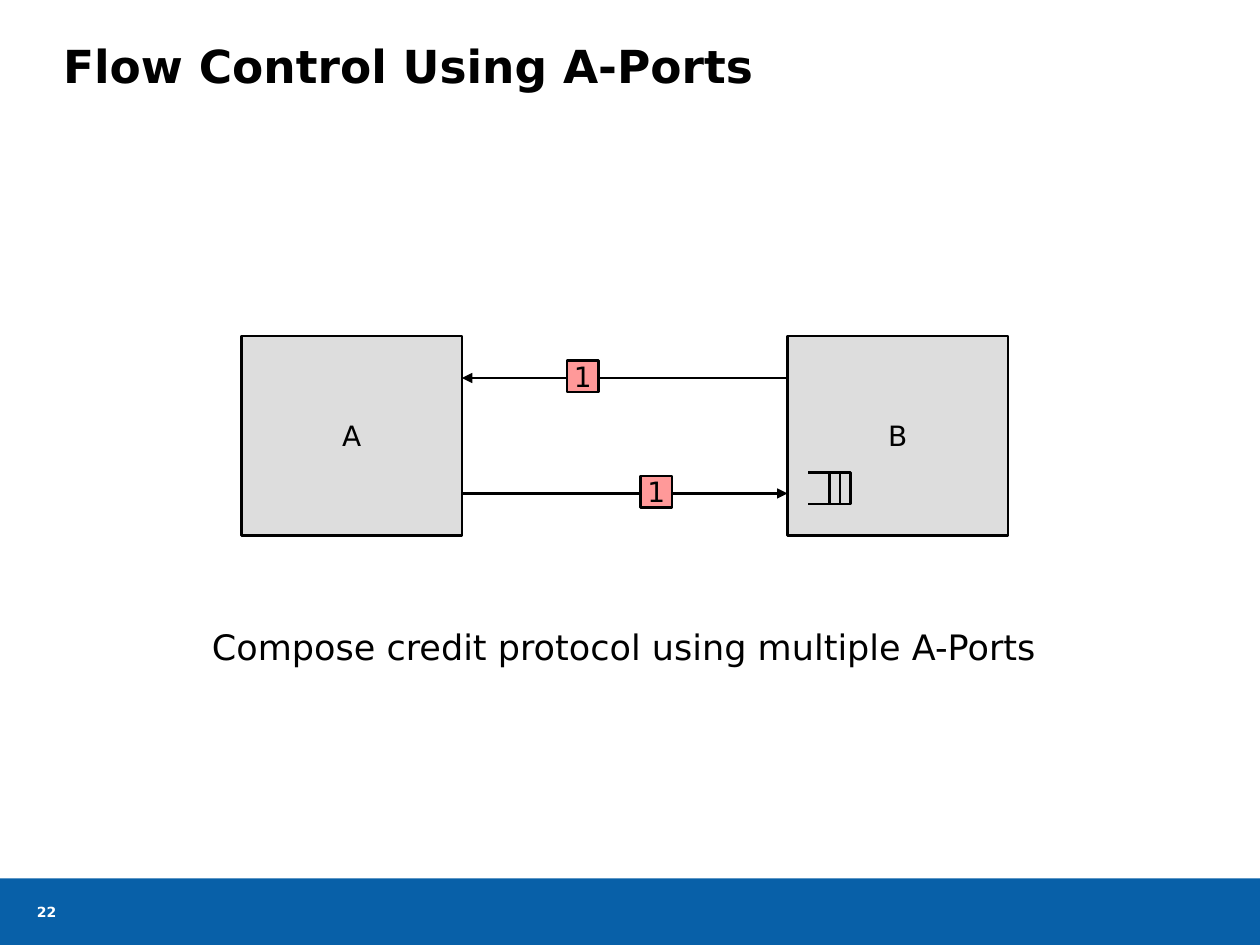
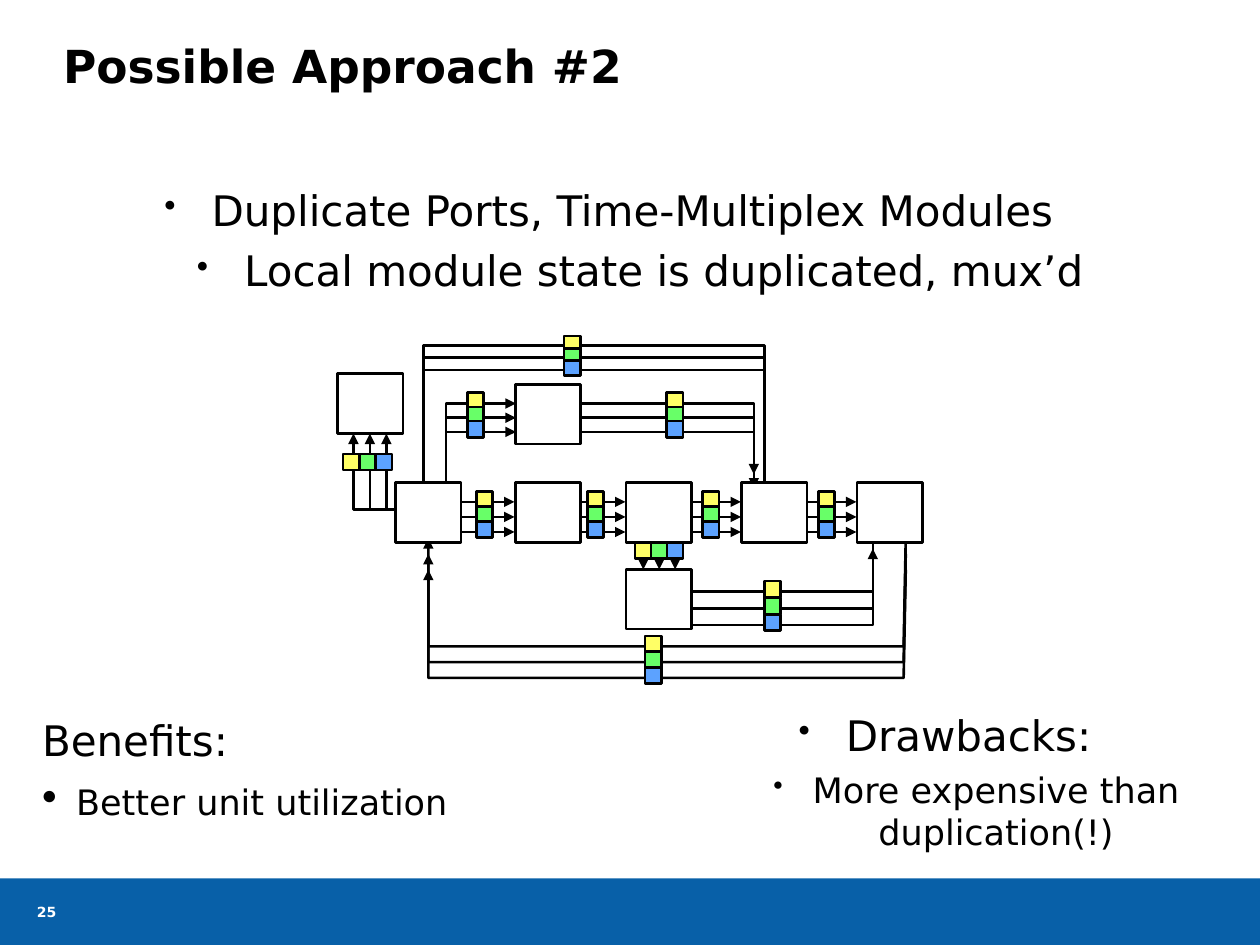
import pptx
import pptx.dml.color
import pptx.enum.shapes
import pptx.enum.text
import pptx.oxml
import pptx.oxml.ns
import pptx.util

Pt = pptx.util.Pt
RGBColor = pptx.dml.color.RGBColor
ALIGN = pptx.enum.text.PP_ALIGN
ANCHOR = pptx.enum.text.MSO_ANCHOR
RECTANGLE = pptx.enum.shapes.MSO_SHAPE.RECTANGLE
STRAIGHT = pptx.enum.shapes.MSO_CONNECTOR.STRAIGHT

BLACK = RGBColor(0x00, 0x00, 0x00)
WHITE = RGBColor(0xFF, 0xFF, 0xFF)
BAND_BLUE = RGBColor(0x08, 0x60, 0xA8)
MODULE_GRAY = RGBColor(0xDD, 0xDD, 0xDD)
CREDIT_PINK = RGBColor(0xFF, 0x99, 0x99)
LANE_COLORS = (RGBColor(0xFF, 0xFF, 0x66), RGBColor(0x68, 0xFF, 0x68),
               RGBColor(0x5C, 0xA2, 0xFF))

TITLE = {"size": Pt(26), "bold": True}
PAGE_NUMBER = {"size": Pt(8), "bold": True}
LARGE = {"size": Pt(24)}
MEDIUM = {"size": Pt(20)}
LABEL = {"size": Pt(16)}
LINE_WIDTH = Pt(1.5)
MODULE_WIDTH, MODULE_HEIGHT = 37.4, 34.1
TOKEN_SIZE = 9.3


def set_attributes(target, values):
    for name, value in values.items():
        setattr(target, name, value)


def add_sub_element(parent, tag, **attributes):
    element = pptx.oxml.parse_xml(f"<a:{tag} {pptx.oxml.ns.nsdecls('a')}/>")
    for name, value in attributes.items():
        element.set(name, str(value))
    parent.append(element)


def write(paragraph, text, style, color=BLACK):
    run = paragraph.add_run()
    run.text = text
    set_attributes(run.font, {"name": "DejaVu Sans", **style})
    run.font.color.rgb = color


def add_text_box(slide, left, top, width, height, inset=True, anchor=ANCHOR.TOP):
    """Add an empty wrapping text box and return its text frame."""
    box = slide.shapes.add_textbox(Pt(left), Pt(top), Pt(width), Pt(height))
    frame = box.text_frame
    set_attributes(frame, {"word_wrap": True, "vertical_anchor": anchor})
    if not inset:
        sides = ("left", "top", "right", "bottom")
        set_attributes(frame, {f"margin_{side}": 0 for side in sides})
    return frame


def add_list(frame, items, align):
    """Fill a frame with (text, style, space before, margin, hang, bullet percent)."""
    for index, (text, style, space, margin, hang, bullet) in enumerate(items):
        paragraph = frame.add_paragraph() if index else frame.paragraphs[0]
        set_attributes(paragraph, {"alignment": align, "space_before": Pt(space)})
        if bullet:
            properties = paragraph._p.get_or_add_pPr()
            properties.set("marL", str(Pt(margin)))
            properties.set("indent", str(Pt(-hang)))
            add_sub_element(properties, "buSzPct", val=bullet * 1000)
            add_sub_element(properties, "buChar", char="•")
        write(paragraph, text, style)


def add_box(slide, left, top, width, height, fill=None, label="", outlined=True):
    box = slide.shapes.add_shape(RECTANGLE, Pt(left), Pt(top), Pt(width), Pt(height))
    box.shadow.inherit = False
    if fill is None:
        box.fill.background()
    else:
        box.fill.solid()
        box.fill.fore_color.rgb = fill
    if outlined:
        box.line.color.rgb = BLACK
        box.line.width = LINE_WIDTH
    else:
        box.line.fill.background()
    if label:
        frame = box.text_frame
        set_attributes(frame, {"word_wrap": False, "vertical_anchor": ANCHOR.MIDDLE})
        frame.paragraphs[0].alignment = ALIGN.CENTER
        write(frame.paragraphs[0], label, LABEL)


def add_route(slide, points, arrow=True):
    """Draw a line through the points: a connector, or a freeform if it bends."""
    points = [(Pt(x), Pt(y)) for x, y in points]
    if len(points) == 2:
        route = slide.shapes.add_connector(STRAIGHT, *points[0], *points[1])
        add_sub_element(route._element.spPr, "effectLst")
    else:
        builder = slide.shapes.build_freeform(*points[0])
        builder.add_line_segments(points[1:], close=False)
        route = builder.convert_to_shape()
        route.shadow.inherit = False
        route.fill.background()
    route.line.color.rgb = BLACK
    route.line.width = LINE_WIDTH
    if arrow:
        add_sub_element(route.line._get_or_add_ln(), "tailEnd", type="triangle")


def add_bus(slide, points, step, token, token_height=TOKEN_SIZE):
    """Draw three parallel lanes, each shifted by step and holding a token."""
    step_x, step_y = step
    for lane, color in enumerate(LANE_COLORS):
        shift_x, shift_y = lane * step_x, lane * step_y
        add_route(slide, [(x + shift_x, y + shift_y) for x, y in points])
        add_box(slide, token[0] + shift_x, token[1] + shift_y,
                TOKEN_SIZE, token_height, color)


def add_base_slide(presentation, title, number):
    slide = presentation.slides.add_slide(presentation.slide_layouts[6])
    add_box(slide, 0, 502, 720, 38, BAND_BLUE, outlined=False)
    frame = add_text_box(slide, 36, 21.6, 648.7, 69.8, inset=False)
    write(frame.paragraphs[0], title, TITLE)
    frame = add_text_box(slide, 21, 509, 32.4, 23.8, inset=False, anchor=ANCHOR.MIDDLE)
    write(frame.paragraphs[0], number, PAGE_NUMBER, WHITE)
    return slide


def add_queue(slide, left, top):
    """Draw a queue that is open to the left, with two filled slots."""
    slot, height = 6, 18
    for index in range(2):
        add_box(slide, left + 12 + index * slot, top, slot, height)
    for y in (top, top + height):
        add_route(slide, [(left + 12, y), (left, y)], arrow=False)


def build_flow_control(presentation):
    slide = add_base_slide(presentation, "Flow Control Using A-Ports", "22")
    width, left_a, left_b = 126, 138, 450
    for label, left in (("A", left_a), ("B", left_b)):
        add_box(slide, left, 192, width, 114, MODULE_GRAY, label)
    add_queue(slide, 462, 270)
    for start, end, y, credit_left in ((left_a + width, left_b, 282, 366),
                                       (left_b, left_a + width, 216, 324)):
        add_route(slide, [(start, y), (end, y)])
        add_box(slide, credit_left, y - 10, 18, 18, CREDIT_PINK, "1")
    frame = add_text_box(slide, 114, 354, 510, 31.7)
    write(frame.paragraphs[0], "Compose credit protocol using multiple A-Ports", MEDIUM)


def add_pipeline(slide):
    stage_lefts = (226, 294.4, 357.8, 423.8, 489.8)
    stage_top = 275.8

    # Top bypass, then the branch above the pipeline
    add_bus(slide, [(437, 287), (437, 197.4), (242, 197.4), (242, 287)],
            (0, 7), (322.4, 192), token_height=8.6)
    add_bus(slide, [(254.8, 271), (254.8, 230.6), (294.8, 230.6)], (0, 8.1), (267, 224.4))
    add_bus(slide, [(322.4, 230.6), (430.8, 230.6), (430.8, 271)], (0, 8.1), (381, 224.4))
    # Side module at the left
    add_bus(slide, [(221, 291), (202, 291), (202, 247.8)], (9.4, 0), (196, 259.4))
    # Stage to stage
    for left, next_left in zip(stage_lefts, stage_lefts[1:]):
        add_bus(slide, [(left + 34, 286.8), (next_left - 0.4, 286.8)],
                (0, 8.6), (next_left - 22.2, 280.8))
    # Module below the pipeline
    add_bus(slide, [(367.6, 309.8), (367.6, 325.4)], (9.1, 0), (362.9, 309.8))
    add_bus(slide, [(393, 338), (498.8, 338), (498.8, 294.4)], (0, 9.6), (436.9, 332))
    # Feedback from the last stage to the first
    add_bus(slide, [(517.6, 307.6), (516.4, 369.4), (244.8, 369.4), (244.8, 307.6)],
            (0, 9), (368.6, 363.4))

    modules = [(left, stage_top) for left in stage_lefts]
    modules += [(294.4, 219.6), (193, 213.6), (357.8, 325.4)]
    for left, top in modules:
        add_box(slide, left, top, MODULE_WIDTH, MODULE_HEIGHT, WHITE)


def build_second_approach(presentation):
    slide = add_base_slide(presentation, "Possible Approach #2", "25")
    add_list(add_text_box(slide, 6, 102, 684, 72), [
        ("Duplicate Ports, Time-Multiplex Modules", LARGE, 0, 27, 27, 80),
        ("Local module state is duplicated, mux’d", LARGE, 5.6, 63, 27, 80),
    ], ALIGN.CENTER)
    add_pipeline(slide)
    add_list(add_text_box(slide, 24, 408, 336, 84, inset=False), [
        ("Benefits:", LARGE, 0, 0, 0, None),
        ("Better unit utilization", MEDIUM, 9.4, 19.5, 19.5, 125),
    ], ALIGN.LEFT)
    add_list(add_text_box(slide, 372, 402, 336, 90), [
        ("Drawbacks:", LARGE, 0, 27, 27, 80),
        ("More expensive than duplication(!)", MEDIUM, 4.7, 58.5, 22.5, 80),
    ], ALIGN.CENTER)


def main():
    presentation = pptx.Presentation()
    presentation.slide_width, presentation.slide_height = Pt(720), Pt(540)
    build_flow_control(presentation)
    build_second_approach(presentation)
    presentation.save("out.pptx")


if __name__ == "__main__":
    main()
